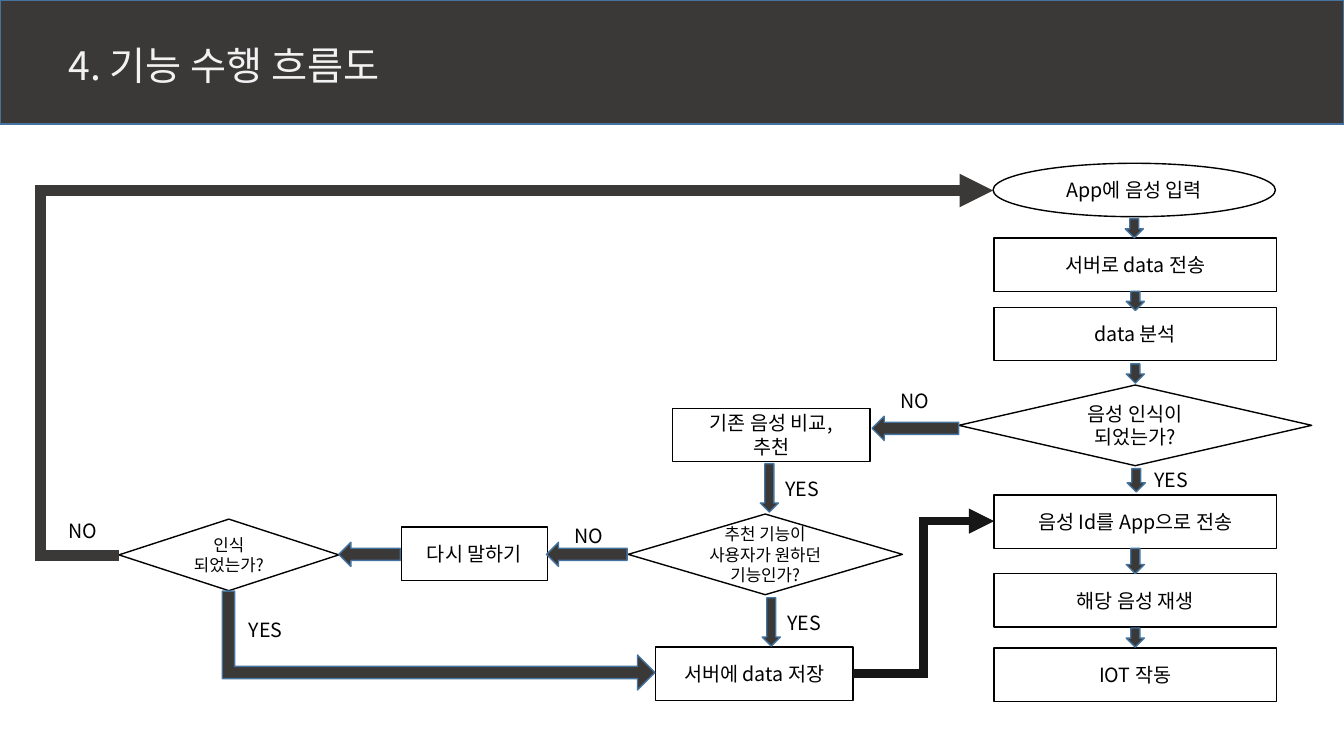
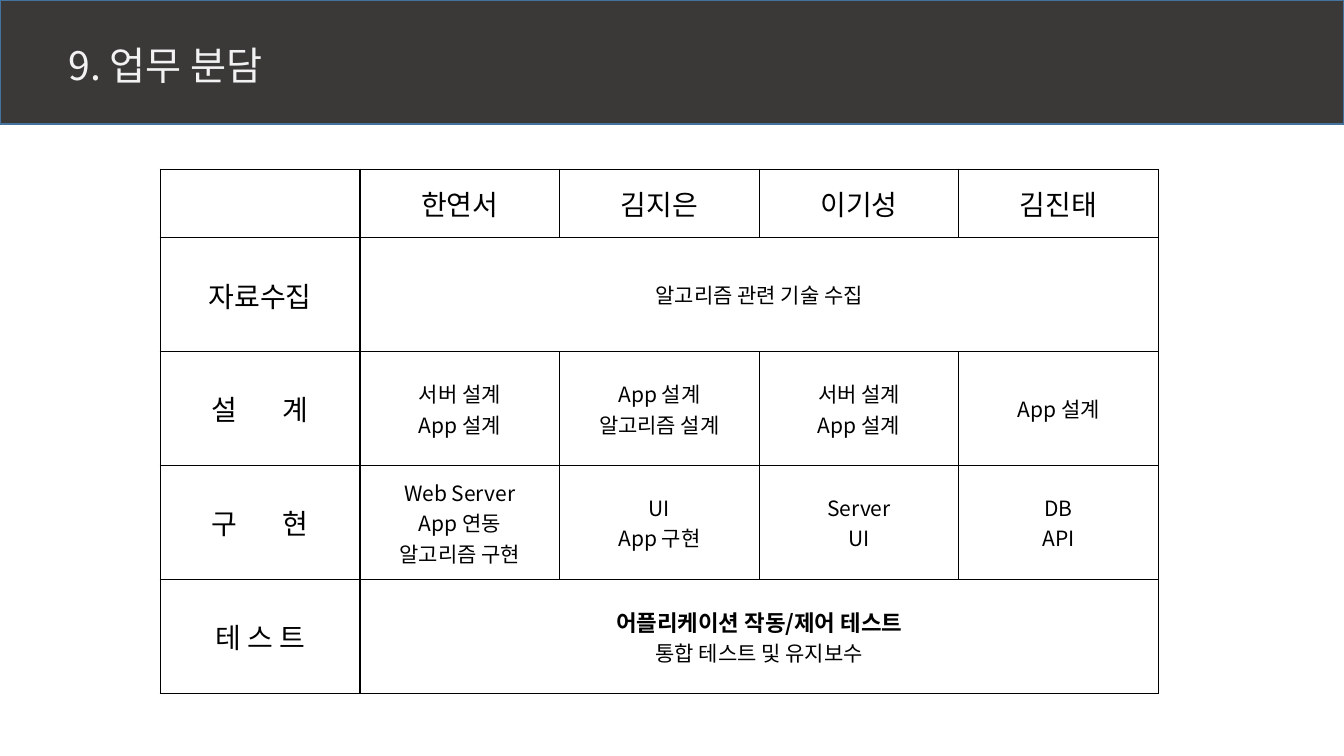
from dataclasses import dataclass

from lxml import etree
from pptx import Presentation
from pptx.dml.color import RGBColor
from pptx.enum.shapes import MSO_CONNECTOR, MSO_SHAPE
from pptx.enum.text import MSO_ANCHOR, PP_ALIGN
from pptx.oxml.ns import qn
from pptx.util import Inches, Pt


@dataclass(frozen=True)
class Theme:
    font: str = "Noto Sans CJK KR"
    dark: str = "3B3838"
    edge: str = "43739E"
    title: str = "F2F2F2"
    ink: str = "000000"
    paper: str = "FFFFFF"
    save_route: str = "181717"
    title_size: int = 28
    head_size: int = 20
    strong_size: int = 16
    cell_size: int = 15
    node_size: int = 14
    small_size: int = 12


def rgb(value):
    return RGBColor.from_string(value)


def sub(parent, tag, **attributes):
    return etree.SubElement(parent, qn(tag), **attributes)


class Deck:
    """Holds the theme and the current slide."""

    def __init__(self, theme):
        self.theme = theme
        self.prs = Presentation()
        self.prs.slide_width = Inches(13.33)
        self.prs.slide_height = Inches(7.5)
        self.slide = None

    def new_slide(self, title):
        t = self.theme
        self.slide = self.prs.slides.add_slide(self.prs.slide_layouts[6])
        self.shape(MSO_SHAPE.RECTANGLE, 0, 0, 13.33, 1.23, t.dark, t.edge)
        frame = self.text_box(title, 0.58, 0.3, 6.31, 0.63, t.title_size, t.title)
        frame.vertical_anchor = MSO_ANCHOR.BOTTOM
        frame.paragraphs[0].line_spacing = 0.9

    # Text
    def run(self, paragraph, text, size, color=None, bold=False):
        run = paragraph.add_run()
        run.text = text
        run.font.size = Pt(size)
        run.font.bold = bold
        run.font.color.rgb = rgb(color or self.theme.ink)
        run.font.name = self.theme.font
        east_asian = etree.Element(qn("a:ea"), typeface=self.theme.font)
        run.font._element.find(qn("a:latin")).addnext(east_asian)
        return run

    def lines(self, frame, text, size, align=PP_ALIGN.CENTER, color=None):
        for i, line in enumerate(text.split("\n")):
            paragraph = frame.add_paragraph() if i else frame.paragraphs[0]
            paragraph.alignment = align
            self.run(paragraph, line, size, color)

    def text_box(self, text, x, y, w, h, size, color=None):
        box = self.slide.shapes.add_textbox(*map(Inches, (x, y, w, h)))
        box.text_frame.word_wrap = True
        self.lines(box.text_frame, text, size, PP_ALIGN.LEFT, color)
        return box.text_frame

    def label(self, text, x, y):
        self.text_box(text, x, y, 0.62, 0.34, self.theme.node_size)

    # Shapes
    def shape(self, kind, x, y, w, h, fill, line):
        shape = self.slide.shapes.add_shape(kind, *map(Inches, (x, y, w, h)))
        shape.shadow.inherit = False
        shape.fill.solid()
        shape.fill.fore_color.rgb = rgb(fill)
        shape.line.color.rgb = rgb(line)
        shape.line.width = Pt(1)
        return shape

    def node(self, kind, text, x, y, w, h, size=None):
        t = self.theme
        frame = self.shape(kind, x, y, w, h, t.paper, t.ink).text_frame
        frame.word_wrap = True
        frame.vertical_anchor = MSO_ANCHOR.MIDDLE
        self.lines(frame, text, size or t.node_size)

    def arrow(self, kind, x, y, w, h):
        return self.shape(kind, x, y, w, h, self.theme.dark, self.theme.edge)

    def elbow(self, start, end, color, width, bend=0.5):
        line = self.slide.shapes.add_connector(
            MSO_CONNECTOR.ELBOW, *map(Inches, (*start, *end)))
        line.line.color.rgb = rgb(color)
        line.line.width = Pt(width)
        outline = line.line._get_or_add_ln()
        sub(outline, "a:miter", lim="800000")
        sub(outline, "a:tailEnd", type="triangle")
        properties = line._element.spPr
        sub(properties, "a:effectLst")
        guides = properties.find(qn("a:prstGeom")).get_or_add_avLst()
        sub(guides, "a:gd", name="adj1", fmla=f"val {round(bend * 100000)}")

    # Table
    def table(self, x, y, col_width, row_heights, columns):
        table = self.slide.shapes.add_table(
            len(row_heights), columns, Inches(x), Inches(y),
            Inches(col_width * columns), Inches(sum(row_heights))).table
        table.first_row = table.horz_banding = False
        for column in table.columns:
            column.width = Inches(col_width)
        for row, height in zip(table.rows, row_heights):
            row.height = Inches(height)
            for cell in row.cells:
                self.style_cell(cell)
        return table

    def style_cell(self, cell):
        cell.vertical_anchor = MSO_ANCHOR.MIDDLE
        cell.margin_left = cell.margin_right = Inches(0.11)
        cell.margin_top = cell.margin_bottom = Inches(0.05)
        cell.fill.solid()
        cell.fill.fore_color.rgb = rgb(self.theme.paper)
        properties = cell._tc.get_or_add_tcPr()
        for i, side in enumerate("LRTB"):
            border = etree.Element(qn(f"a:ln{side}"), w=str(Pt(1)))
            sub(sub(border, "a:solidFill"), "a:srgbClr", val=self.theme.ink)
            properties.insert(i, border)

    def spread(self, cell, first, last, gap):
        """Two syllables set apart by letter spacing."""
        paragraph = cell.text_frame.paragraphs[0]
        paragraph.alignment = PP_ALIGN.CENTER
        run = self.run(paragraph, first, self.theme.head_size)
        run.font._element.set("spc", str(gap * 100))
        self.run(paragraph, last, self.theme.head_size)


theme = Theme()
deck = Deck(theme)
BOX, DECISION = MSO_SHAPE.RECTANGLE, MSO_SHAPE.FLOWCHART_DECISION
DOWN, LEFT = MSO_SHAPE.DOWN_ARROW, MSO_SHAPE.LEFT_ARROW
BOX_H = 0.53

# Slide 1: flow chart
deck.new_slide("4. 기능 수행 흐름도")

# Main column
deck.node(MSO_SHAPE.OVAL, "App에 음성 입력", 9.85, 1.62, 2.8, BOX_H)
for text, y in [("서버로 data 전송", 2.36), ("data 분석", 3.05),
                ("음성 Id를 App으로 전송", 4.91), ("해당 음성 재생", 5.69),
                ("IOT 작동", 6.43)]:
    deck.node(BOX, text, 9.86, y, 2.8, BOX_H)
deck.node(DECISION, "음성 인식이\n되었는가?", 9.51, 3.82, 3.5, 0.8)

# Side branch
for text, x, y, w in [("기존 음성 비교,\n추천", 6.67, 4.05, 1.96),
                      ("서버에 data 저장", 6.5, 6.42, 1.96),
                      ("다시 말하기", 3.98, 5.23, 1.45)]:
    deck.node(BOX, text, x, y, w, BOX_H)
deck.node(DECISION, "추천 기능이\n사용자가 원하던 기능인가?",
          6.23, 5.1, 2.72, 0.8, theme.small_size)
deck.node(DECISION, "인식\n되었는가?", 1.18, 5.15, 2.18, 0.71, theme.small_size)

# Block arrows
for x, y, h in [(11.16, 2.17, 0.19), (11.17, 2.89, 0.19), (11.17, 3.61, 0.19),
                (11.18, 4.65, 0.23), (11.17, 5.44, 0.25), (11.17, 6.23, 0.19),
                (7.54, 4.6, 0.48), (7.56, 5.93, 0.48)]:
    deck.arrow(DOWN, x, y, 0.18, h)
for x, y, w in [(8.65, 4.13, 0.86), (5.42, 5.38, 0.8), (3.36, 5.38, 0.61)]:
    deck.arrow(LEFT, x, y, w, 0.24)
turn = deck.arrow(MSO_SHAPE.BENT_UP_ARROW, 3.86, 4.21, 0.98, 4.29)
turn.rotation = 90
for i, value in enumerate((0.124, 0.177, 0.176)):
    turn.adjustments[i] = value

# Long routes
deck.elbow((1.18, 5.51), (9.85, 1.89), theme.dark, 8, -0.09)
deck.elbow((8.46, 6.68), (9.86, 5.17), theme.save_route, 6)

# Answers
for text, x, y in [("NO", 8.83, 3.81), ("NO", 5.6, 5.15), ("NO", 0.58, 5.1),
                   ("YES", 11.35, 4.59), ("YES", 7.71, 6.01),
                   ("YES", 2.37, 6.08), ("YES", 7.69, 4.68)]:
    deck.label(text, x, y)

# Slide 2: division of work
deck.new_slide("9. 업무 분담")
work = deck.table(1.59, 1.68, 1.98, [0.68] + [1.13] * 4, 5)
for row in (1, 4):
    work.cell(row, 1).merge(work.cell(row, 4))

# Headings
for row, col, text in [(0, 1, "한연서"), (0, 2, "김지은"), (0, 3, "이기성"),
                       (0, 4, "김진태"), (1, 0, "자료수집"), (4, 0, "테 스 트")]:
    deck.lines(work.cell(row, col).text_frame, text, theme.head_size)
deck.spread(work.cell(2, 0), "설", "계", 32)
deck.spread(work.cell(3, 0), "구", "현", 32)

# Tasks
tasks = {
    1: ["알고리즘 관련 기술 수집"],
    2: ["서버 설계\nApp 설계", "App 설계\n알고리즘 설계",
        "서버 설계\nApp 설계", "App 설계"],
    3: ["Web Server\nApp 연동\n알고리즘 구현", "UI\nApp 구현",
        "Server\nUI", "DB\nAPI"],
    4: ["어플리케이션 작동/제어 테스트\n통합 테스트 및 유지보수"],
}
for row, texts in tasks.items():
    for col, text in enumerate(texts, start=1):
        deck.lines(work.cell(row, col).text_frame, text, theme.cell_size)
lead = work.cell(4, 1).text_frame.paragraphs[0].runs[0].font
lead.size, lead.bold = Pt(theme.strong_size), True

deck.prs.save("out.pptx")
